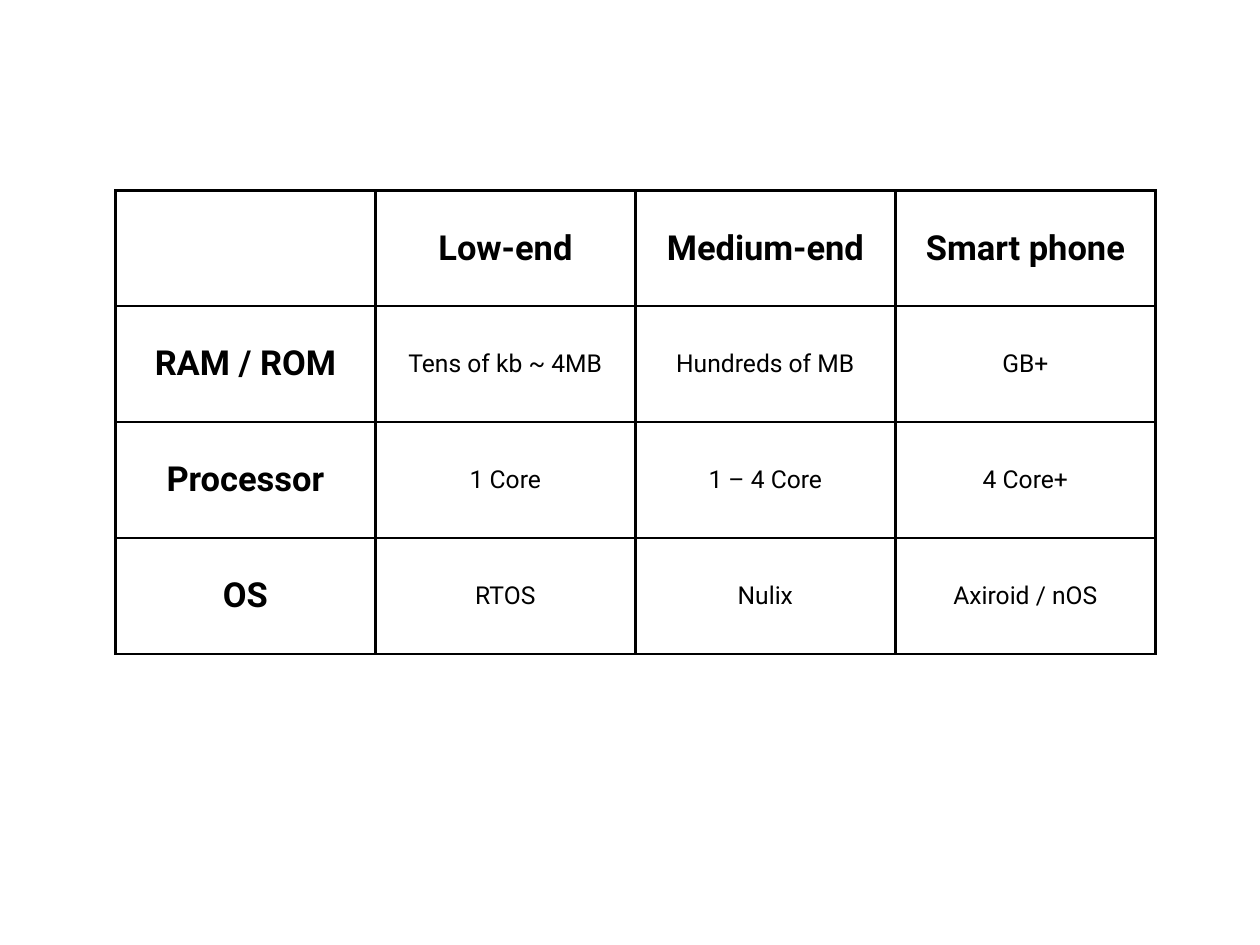
from lxml import etree
from pptx import Presentation
from pptx.dml.color import RGBColor
from pptx.enum import text as txt
from pptx.oxml import ns
from pptx.util import Pt

BLACK = RGBColor(0x00, 0x00, 0x00)
WHITE = RGBColor(0xFF, 0xFF, 0xFF)
FONT = "Roboto"
BORDER = 2.25

DEVICE_CLASSES = [
    ["", "Low-end", "Medium-end", "Smart phone"],
    ["RAM / ROM", "Tens of kb ~ 4MB", "Hundreds of MB", "GB+"],
    ["Processor", "1 Core", "1 – 4 Core", "4 Core+"],
    ["OS", "RTOS", "Nulix", "Axiroid / nOS"],
]


def write_text(frame, content, *, size, bold=False, color=BLACK):
    """Put one centred, formatted line of text in a text frame."""
    line = frame.paragraphs[0]
    line.alignment = txt.PP_ALIGN.CENTER
    run = line.add_run()
    run.text = content
    run.font.name = FONT
    run.font.size = Pt(size)
    run.font.bold = bold
    run.font.color.rgb = color


def outline_cell(cell, width, color):
    """Draw a solid border on all four sides of a cell."""
    properties = cell._tc.get_or_add_tcPr()
    for index, side in enumerate(("lnL", "lnR", "lnT", "lnB")):
        border = etree.Element(ns.qn(f"a:{side}"), w=str(Pt(width)))
        fill = etree.SubElement(border, ns.qn("a:solidFill"))
        etree.SubElement(fill, ns.qn("a:srgbClr"), val=str(color))
        properties.insert(index, border)


def add_comparison(slide, rows, left, top, width, height):
    """Fill the given box with an even grid comparing device classes."""
    row_count, column_count = len(rows), len(rows[0])
    comparison = slide.shapes.add_table(
        row_count, column_count, Pt(left), Pt(top), Pt(width), Pt(height)
    ).table
    for column in comparison.columns:
        column.width = Pt(width / column_count)
    for row in comparison.rows:
        row.height = Pt(height / row_count)

    for r, row in enumerate(rows):
        for c, content in enumerate(row):
            cell = comparison.cell(r, c)
            cell.fill.solid()
            cell.fill.fore_color.rgb = WHITE
            cell.vertical_anchor = txt.MSO_ANCHOR.MIDDLE
            outline_cell(cell, BORDER, BLACK)
            heading = r == 0 or c == 0
            if content:
                write_text(cell.text_frame, content,
                           size=28 if heading else 20, bold=heading)


deck = Presentation()
deck.slide_width, deck.slide_height = Pt(1024), Pt(768)
device_slide = deck.slides.add_slide(deck.slide_layouts[6])
add_comparison(device_slide, DEVICE_CLASSES,
               left=93.75, top=154.75, width=845.2, height=376.6)
deck.save("out.pptx")
